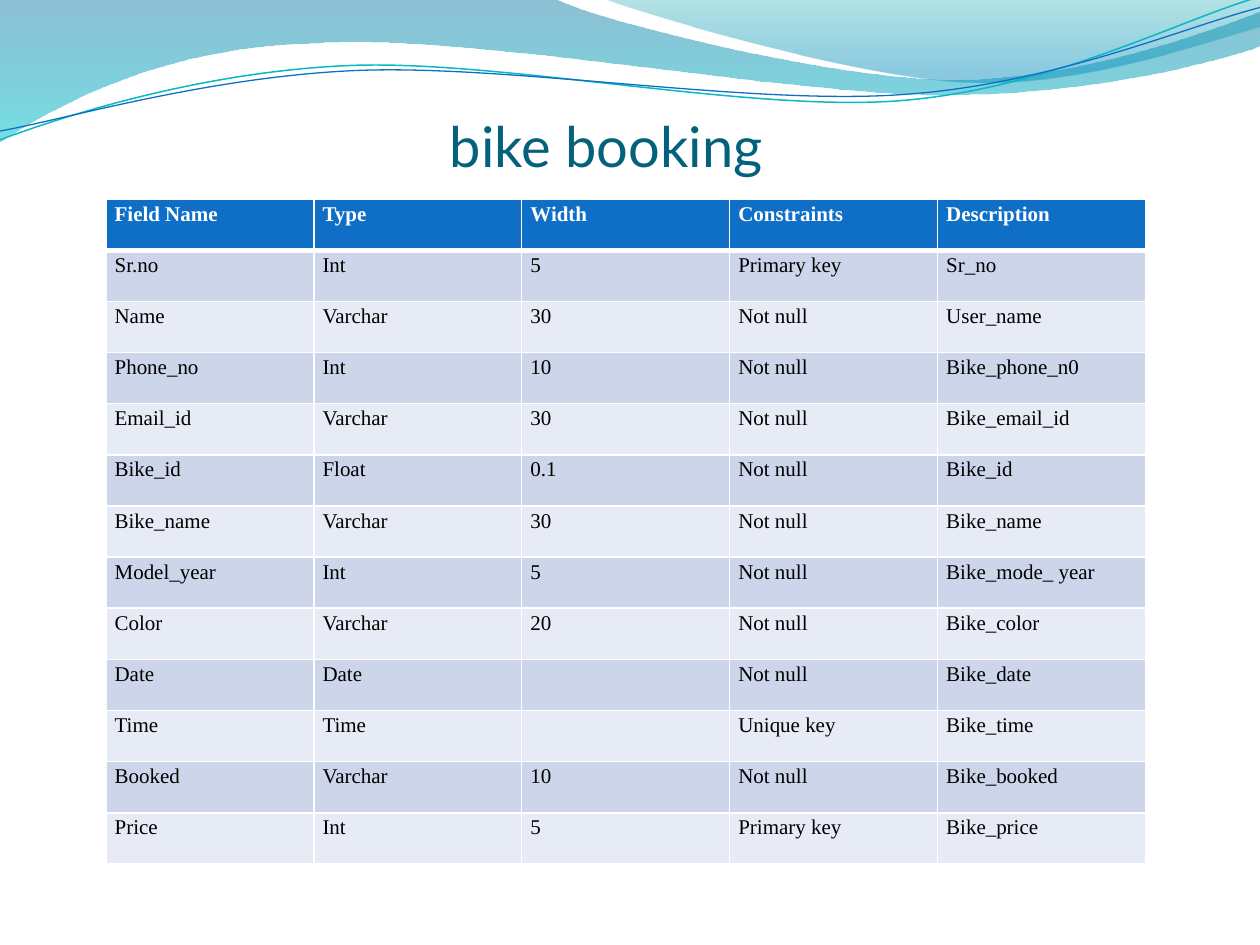
from math import cos, radians, sin

from lxml import etree
from pptx import Presentation
from pptx.dml.color import RGBColor
from pptx.enum.text import MSO_ANCHOR, PP_ALIGN
from pptx.oxml import parse_xml
from pptx.oxml.ns import nsdecls, qn
from pptx.util import Inches, Pt

COLORS = {
    "white": "FFFFFF", "black": "000000", "title": "04617B",
    "blue": "0F6FC6", "teal": "0AB8BF",
    "band_dark": "CCD5EA", "band_light": "E7EBF5",
    "left_top": "0074A1", "left_bottom": "00C6CF",
    "right_top": "00A1A9", "right_bottom": "008BBF",
}

# Each path step is a list of one point (line) or three points (Bezier curve).
LEFT_WAVE = [
    [(0, 0)], [(4.4, -0.01)],
    [(4.76, 0.17), (6.64, 0.63), (7.58, 0.63)],
    [(8.53, 0.63), (9.58, 0.26), (10, 0.09)],
    [(10.01, 0.36)],
    [(9.83, 0.44), (8.7, 0.76), (7.46, 0.75)],
    [(6.22, 0.75), (3.82, 0.28), (2.57, 0.34)],
    [(1.29, 0.36), (0.46, 0.83), (-0.01, 1.13)],
    [(0, 0)],
]
RIGHT_WAVE = [
    [(4.79, -0.01)],
    [(5.09, 0.11), (6.82, 0.62), (7.69, 0.65)],
    [(8.56, 0.69), (9.61, 0.32), (10, 0.21)],
    [(10, 0)], [(4.79, -0.01)],
]
TEAL_CURVE = [
    [(0, 1.11)],
    [(0.48, 0.93), (1.58, 0.57), (2.77, 0.52)],
    [(3.95, 0.47), (5.93, 0.89), (7.13, 0.8)],
    [(8.33, 0.71), (9.38, 0.15), (9.98, -0.02)],
]
BLUE_CURVE = [
    [(0, 1.04)],
    [(0.47, 0.96), (1.64, 0.61), (2.83, 0.56)],
    [(4.03, 0.51), (5.97, 0.84), (7.17, 0.75)],
    [(8.36, 0.67), (9.41, 0.21), (10, 0.06)],
]
CURVE_TILT = -2.7

FIELDS = [
    ("Field Name", "Type", "Width", "Constraints", "Description"),
    ("Sr.no", "Int", "5", "Primary key", "Sr_no"),
    ("Name", "Varchar", "30", "Not null", "User_name"),
    ("Phone_no", "Int", "10", "Not null", "Bike_phone_n0"),
    ("Email_id", "Varchar", "30", "Not null", "Bike_email_id"),
    ("Bike_id", "Float", "0.1", "Not null", "Bike_id"),
    ("Bike_name", "Varchar", "30", "Not null", "Bike_name"),
    ("Model_year", "Int", "5", "Not null", "Bike_mode_ year"),
    ("Color", "Varchar", "20", "Not null", "Bike_color"),
    ("Date", "Date", "", "Not null", "Bike_date"),
    ("Time", "Time", "", "Unique key", "Bike_time"),
    ("Booked", "Varchar", "10", "Not null", "Bike_booked"),
    ("Price", "Int", "5", "Primary key", "Bike_price"),
]


def rgb(name):
    return RGBColor.from_string(COLORS[name])


def turn(path, degrees, center):
    """Rotate every point of a path clockwise about the center."""
    cosine, sine = cos(radians(degrees)), sin(radians(degrees))
    cx, cy = center
    return [[(cx + (x - cx) * cosine - (y - cy) * sine,
              cy + (x - cx) * sine + (y - cy) * cosine) for x, y in step]
            for step in path]


class SlideBuilder:
    title_font = "Lato"
    table_font = "Times New Roman"

    def __init__(self, page):
        self.page = page

    def title(self, text, left, top, width, height, indent):
        box = self.page.shapes.title
        box.element.getparent().append(box.element)  # in front of the waves
        box.left, box.top = Inches(left), Inches(top)
        box.width, box.height = Inches(width), Inches(height)
        frame = box.text_frame
        frame.text = text
        frame.word_wrap = True
        frame.vertical_anchor = MSO_ANCHOR.BOTTOM
        frame.margin_left, frame.margin_top = Inches(indent), Inches(0.05)
        frame.margin_right = frame.margin_bottom = 0
        para = frame.paragraphs[0]
        para.alignment = PP_ALIGN.LEFT
        self.style(para, self.title_font, 32, "title")

    def style(self, para, font, size, color, bold=False):
        para.font.name, para.font.size = font, Pt(size)
        para.font.bold = bold
        para.font.color.rgb = rgb(color)

    def outline(self, path, closed):
        """Build a freeform, then join the line steps of each curve into one Bezier."""
        points = [(Inches(x), Inches(y)) for step in path for x, y in step]
        builder = self.page.shapes.build_freeform(*points[0])
        builder.add_line_segments(points[1:], close=closed)
        shape = builder.convert_to_shape()
        shape.shadow.inherit = False
        lines = iter(list(shape.element.iter(qn("a:lnTo"))))
        for step in path[1:]:
            nodes = [next(lines) for _ in step]
            if len(step) == 3:
                bezier = etree.Element(qn("a:cubicBezTo"))
                nodes[0].addprevious(bezier)
                for node in nodes:
                    bezier.append(node[0])
                    node.getparent().remove(node)
        return shape

    def wave(self, path, stops):
        """Fill a closed outline from top to bottom; stops are (position, color, opacity %)."""
        shape = self.outline(path, closed=True)
        shape.line.fill.background()
        shape.fill.gradient()
        shape.fill.gradient_angle = 270
        for stop, (position, color, _) in zip(shape.fill.gradient_stops, stops):
            stop.position = position
            stop.color.rgb = rgb(color)
        for node, (_, _, opacity) in zip(shape.element.spPr.iter(qn("a:srgbClr")), stops):
            etree.SubElement(node, qn("a:alpha"), val=str(opacity * 1000))

    def curve(self, path, center, color, width):
        shape = self.outline(turn(path, -CURVE_TILT, center), closed=False)
        shape.rotation = CURVE_TILT
        shape.fill.background()
        shape.line.color.rgb = rgb(color)
        shape.line.width = Pt(width)

    def borders(self, cell, top, bottom):
        properties = cell._tc.get_or_add_tcPr()
        for side, width in (("L", 1), ("R", 1), ("T", top), ("B", bottom)):
            properties.append(parse_xml(
                f'<a:ln{side} {nsdecls("a")} w="{Pt(width)}"><a:solidFill>'
                f'<a:srgbClr val="{COLORS["white"]}"/></a:solidFill></a:ln{side}>'))

    def table(self, rows, left, top, width, height):
        table = self.page.shapes.add_table(
            len(rows), len(rows[0]), Inches(left), Inches(top),
            Inches(width), Inches(height)).table
        for r, row in enumerate(rows):
            header = r == 0
            fill = "blue" if header else ("band_light", "band_dark")[r % 2]
            for c, text in enumerate(row):
                cell = table.cell(r, c)
                cell.text = text
                cell.margin_left = cell.margin_right = Inches(0.07)
                cell.margin_top = cell.margin_bottom = 0
                self.borders(cell, top=3 if r == 1 else 1, bottom=3 if header else 1)
                cell.fill.solid()
                cell.fill.fore_color.rgb = rgb(fill)
                para = cell.text_frame.paragraphs[0]
                para.line_spacing = 1.15
                self.style(para, self.table_font, 12, "white" if header else "black", header)


def main():
    deck = Presentation()
    deck.slide_width, deck.slide_height = Inches(10), Inches(7.5)
    slide = SlideBuilder(deck.slides.add_slide(deck.slide_layouts[5]))
    slide.wave(LEFT_WAVE, [(0, "left_top", 45), (1, "left_bottom", 55)])
    slide.wave(RIGHT_WAVE, [(0, "right_top", 30), (0.8, "right_bottom", 45)])
    slide.curve(TEAL_CURVE, (4.99, 0.57), "teal", 0.85)
    slide.curve(BLUE_CURVE, (5, 0.59), "blue", 0.75)
    slide.title("bike booking", 0.5, 0.77, 9.08, 0.65, indent=3.07)
    slide.table(FIELDS, 0.84, 1.58, 8.25, 5.28)
    deck.save("out.pptx")


if __name__ == "__main__":
    main()
